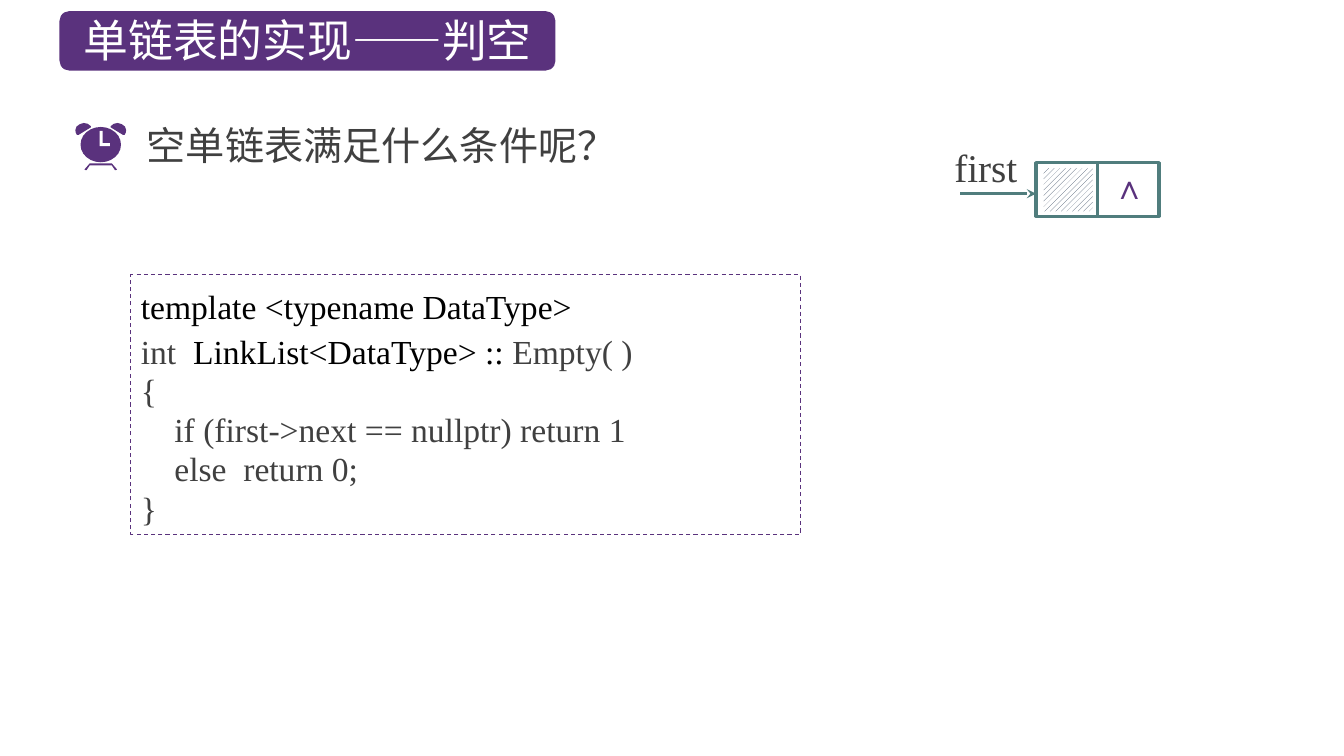
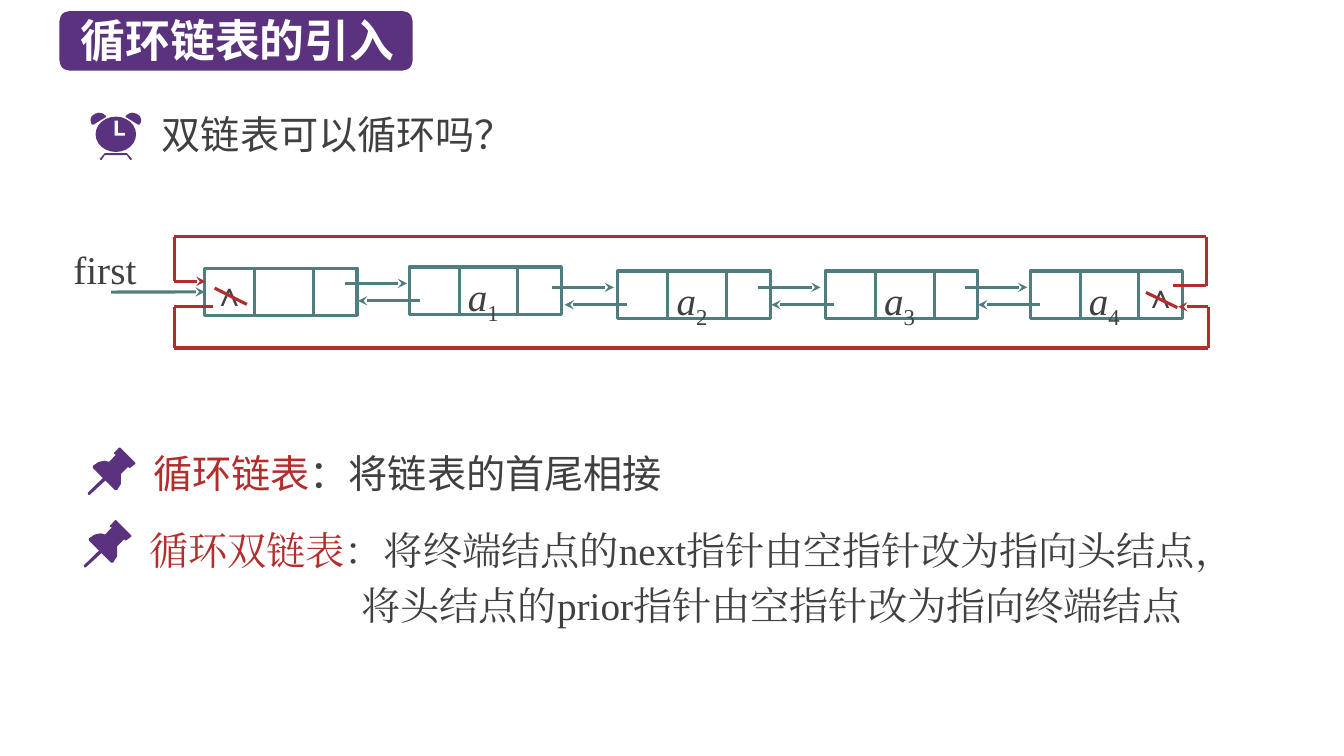
from itertools import pairwise

from lxml import etree
from pptx import Presentation
from pptx.dml.color import RGBColor
from pptx.enum.dml import MSO_LINE, MSO_PATTERN
from pptx.enum.shapes import MSO_CONNECTOR, MSO_SHAPE
from pptx.enum.text import MSO_ANCHOR, MSO_AUTO_SIZE, PP_ALIGN
from pptx.oxml.ns import qn
from pptx.util import Cm, Pt

COLOURS = {
    "purple": "5A327D",
    "teal": "507D7D",
    "red": "B42D2D",
    "text": "404040",
    "black": "000000",
    "white": "FFFFFF",
    "hatch": "44546A",
}
CHINESE = "Noto Sans CJK SC"
LATIN = "Times New Roman"
STROKE = 2.25

NODE_WIDTH, NODE_HEIGHT = 3.84, 1.19
NODE_DIVIDERS = (1.26, 2.74)
NODES = [(5.16, 6.76, ""), (10.31, 6.73, "1"), (15.57, 6.83, "2"), (20.8, 6.83, "3"), (25.96, 6.83, "4")]
LINK_TOPS = [7.14, 7.24, 7.24, 7.24]
LINK_LEFT, LINK_STEP, LINK_LENGTH = 8.69, 5.21, 1.57

EAR = [(-43, 0), (-53, 3), (-61, 9), (-64, 18), (-63, 24), (-60, 30), (-56, 30), (-25, 11), (-25, 8), (-33, 2)]
LEG = [(28, 102), (41, 117), (38, 119), (36, 119), (28, 107)]
HANDS = [(-3, 20), (5, 20), (5, 51), (23, 51), (23, 58), (-3, 58)]
PIN_HEAD = [
    (107, 38), (69, 0), (66, 0), (56, 11), (53, 13), (54, 16), (58, 18), (41, 36), (30, 33), (15, 36),
    (0, 46), (0, 51), (56, 107), (61, 107), (71, 91), (71, 66), (89, 48), (91, 51), (94, 51), (107, 41),
]
PIN_NEEDLE = [(-11, 119), (-13, 114), (28, 74), (33, 72), (36, 79), (-8, 119)]


def colour(name):
    """Return the named colour."""
    return RGBColor.from_string(COLOURS[name])


def paint(shape, fill=None, line=None, width=STROKE):
    """Set the fill and outline of a shape and drop its shadow."""
    shape.shadow.inherit = False
    if fill:
        shape.fill.solid()
        shape.fill.fore_color.rgb = colour(fill)
    else:
        shape.fill.background()
    if line:
        shape.line.color.rgb = colour(line)
        shape.line.width = Pt(width)
    else:
        shape.line.fill.background()


def add_box(slide, box, kind=MSO_SHAPE.RECTANGLE, **style):
    """Add a preset shape at left, top, width, height in centimetres."""
    shape = slide.shapes.add_shape(kind, *map(Cm, box))
    paint(shape, **style)
    return shape


def add_outline(slide, origin, points, fill="purple"):
    """Add a filled polygon given in hundredths of a centimetre."""
    builder = slide.shapes.build_freeform(*points[0], scale=Cm(0.01))
    builder.add_line_segments(points[1:])
    paint(builder.convert_to_shape(*map(Cm, origin)), fill)


def add_line(slide, start, end, stroke="teal", arrow=False):
    """Add a straight line, optionally with an arrowhead at its end."""
    line = slide.shapes.add_connector(MSO_CONNECTOR.STRAIGHT, *map(Cm, (*start, *end)))
    line.line.color.rgb = colour(stroke)
    line.line.width = Pt(STROKE)
    if arrow:
        etree.SubElement(line.line._get_or_add_ln(), qn("a:tailEnd"), type="stealth")
    etree.SubElement(line.element.spPr, qn("a:effectLst"))
    return line


def add_polyline(slide, points):
    """Add a red chain of lines that ends in an arrowhead."""
    for start, end in pairwise(points):
        add_line(slide, start, end, "red", arrow=end == points[-1])


def write(shape, paragraphs, face=CHINESE, size=28, anchor=MSO_ANCHOR.MIDDLE, bold=False, italic=False):
    """Fill a shape with paragraphs, each a list of text and colour pairs."""
    frame = shape.text_frame
    frame.word_wrap = True
    frame.auto_size = MSO_AUTO_SIZE.NONE
    frame.vertical_anchor = anchor
    for index, runs in enumerate(paragraphs):
        paragraph = frame.add_paragraph() if index else frame.paragraphs[0]
        paragraph.alignment = PP_ALIGN.LEFT
        paragraph.font.name = face
        paragraph.font.size = Pt(size)
        paragraph.font.bold = bold
        paragraph.font.italic = italic
        for text, name in runs:
            run = paragraph.add_run()
            run.text = text
            run.font.color.rgb = colour(name)
    for latin in list(shape.element.iter(qn("a:latin"))):
        east_asian = etree.Element(qn("a:ea"), typeface=face)
        latin.addnext(east_asian)
    return frame


def add_text(slide, box, paragraphs, **style):
    """Add a text box at left, top, width, height in centimetres."""
    return write(slide.shapes.add_textbox(*map(Cm, box)), paragraphs, **style)


def add_titled_slide(presentation, title, left, band_width, bold=False):
    """Add a title-only slide whose title lies on a purple band."""
    slide = presentation.slides.add_slide(presentation.slide_layouts[5])
    band = add_box(slide, (1.5, 0.28, band_width, 1.5), MSO_SHAPE.ROUNDED_RECTANGLE, fill="purple")
    heading = slide.shapes.title
    heading.element.addprevious(band.element)
    heading.left, heading.top, heading.width, heading.height = map(Cm, (left, 0.18, 12.2, 1.63))
    write(heading, [[(title, "white")]], size=32, bold=bold)
    return slide


def mirror(points):
    """Reflect points across the vertical axis, in reverse order."""
    return [(-x, y) for x, y in reversed(points)]


def add_question(slide, x, y, text):
    """Add an alarm clock with its top centre at x, y and a question beside it."""
    for points in (EAR, mirror(EAR), LEG + mirror(LEG)):
        add_outline(slide, (x, y), points)
    add_box(slide, (x - 0.51, y + 0.1, 1.02, 0.89), MSO_SHAPE.OVAL, fill="purple")
    add_outline(slide, (x, y), HANDS, "white")
    add_text(slide, (x + 0.91, y - 0.18, 18.4, 1.45), [[(text, "text")]])


def add_pin(slide, x, y):
    """Add a push pin with its head at x, y."""
    for points in (PIN_HEAD, PIN_NEEDLE):
        add_outline(slide, (x, y), points)


def add_null(slide, x, y, name="text", bold=False):
    """Add a null pointer mark."""
    add_text(slide, (x, y, 1.3, 1.27), [[("∧", name)]], face=LATIN, size=24, anchor=MSO_ANCHOR.TOP, bold=bold)


def add_node(slide, left, top, index):
    """Add a node of three cells, with its element name if it has an index."""
    node = add_box(slide, (left, top, NODE_WIDTH, NODE_HEIGHT), line="teal")
    for offset in NODE_DIVIDERS:
        add_line(slide, (left + offset, top), (left + offset, top + NODE_HEIGHT))
    if index:
        runs = [("a", "text"), (index, "text")]
        frame = write(node, [runs], face=LATIN, anchor=MSO_ANCHOR.TOP, italic=True)
        frame.margin_left, frame.margin_top, frame.margin_bottom = Cm(1.48), Cm(0.13), 0
        subscript = frame.paragraphs[0].runs[1]
        subscript.font.italic = False
        subscript.font._element.set("baseline", "-25000")
    return node


def build_empty_check(presentation):
    """Build the slide on testing a list for emptiness."""
    slide = add_titled_slide(presentation, "单链表的实现——判空", 1.85, 12.5)
    add_question(slide, 2.54, 3.1, "空单链表满足什么条件呢？")

    code = add_box(slide, (3.3, 6.93, 16.87, 6.53), line="purple", width=0.75)
    code.line.dash_style = MSO_LINE.DASH
    frame = write(code, [
        [("template <typename DataType>", "black")],
        [("int  ", "text"), ("LinkList<DataType> :: ", "black"), ("Empty( )", "text")],
        [("{", "text")],
        [("    if (first->next == nullptr) return 1", "text")],
        [("    else  return 0;", "text")],
        [("}", "text")],
    ], face=LATIN, size=24)
    for index, paragraph in enumerate(frame.paragraphs):
        paragraph.line_spacing = Pt(32 if index < 2 else 28)

    add_line(slide, (24.2, 4.88), (26.11, 4.88), arrow=True)
    add_text(slide, (23.8, 3.5, 2.5, 1.4), [[("first", "text")]], face=LATIN)
    node = add_box(slide, (26.11, 4.1, 3.1, 1.35), line="teal")
    divider = add_line(slide, (27.66, 4.1), (27.66, 5.45))
    divider.begin_connect(node, 0)
    divider.end_connect(node, 2)
    hatch = add_box(slide, (26.3, 4.24, 1.24, 1.09))
    hatch.fill.patterned()
    hatch.fill.pattern = MSO_PATTERN.WIDE_UPWARD_DIAGONAL
    hatch.fill.fore_color.rgb = colour("hatch")
    hatch.fill.back_color.rgb = colour("white")
    add_null(slide, 27.79, 4.06, "purple", bold=True)


def build_circular_list(presentation):
    """Build the slide that introduces circular lists."""
    slide = add_titled_slide(presentation, "循环链表的引入", 1.78, 8.9, bold=True)
    add_question(slide, 2.92, 2.84, "双链表可以循环吗？")

    nodes = [add_node(slide, *node) for node in NODES]
    for index, top in enumerate(LINK_TOPS):
        left = LINK_LEFT + index * LINK_STEP
        add_line(slide, (left, top), (left + LINK_LENGTH, top), arrow=True)
        back = left + 0.33
        add_line(slide, (back + LINK_LENGTH, top + 0.44), (back, top + 0.44), arrow=True)
    add_line(slide, (2.8, 7.36), (5.16, 7.36), arrow=True).end_connect(nodes[0], 1)
    add_text(slide, (1.6, 6.04, 3.02, 1.45), [[("first", "text")]], face=LATIN)
    add_null(slide, 5.11, 6.74)
    add_null(slide, 28.58, 6.81)

    add_polyline(slide, [(29.57, 7.2), (30.4, 7.2), (30.4, 5.97), (4.39, 5.97), (4.39, 7.09), (5.18, 7.09)])
    add_polyline(slide, [(5.36, 7.73), (4.39, 7.73), (4.39, 8.77), (30.45, 8.77), (30.45, 7.73), (29.69, 7.73)])
    add_line(slide, (28.88, 7.37), (29.67, 7.75), "red")
    add_line(slide, (5.41, 7.26), (6.22, 7.67), "red")

    add_pin(slide, 2.34, 11.28)
    add_text(slide, (3.61, 11.18, 28.5, 1.45), [[("循环链表", "red"), ("：将链表的首尾相接", "text")]])
    add_pin(slide, 2.24, 13.11)
    frame = add_text(slide, (3.51, 13.11, 28.65, 2.87), [
        [("循环双链表", "red"), ("：将终端结点的next指针由空指针改为指向头结点，", "text")],
        [("将头结点的prior指针由空指针改为指向终端结点", "text")],
    ], face=LATIN)
    continuation = frame.paragraphs[1]
    continuation.space_before = Pt(6)
    continuation._p.get_or_add_pPr().set("marL", str(Cm(5.35)))


def main():
    """Build and save the presentation."""
    presentation = Presentation()
    presentation.slide_width, presentation.slide_height = Cm(33.87), Cm(19.05)
    build_empty_check(presentation)
    build_circular_list(presentation)
    presentation.save("out.pptx")


if __name__ == "__main__":
    main()
